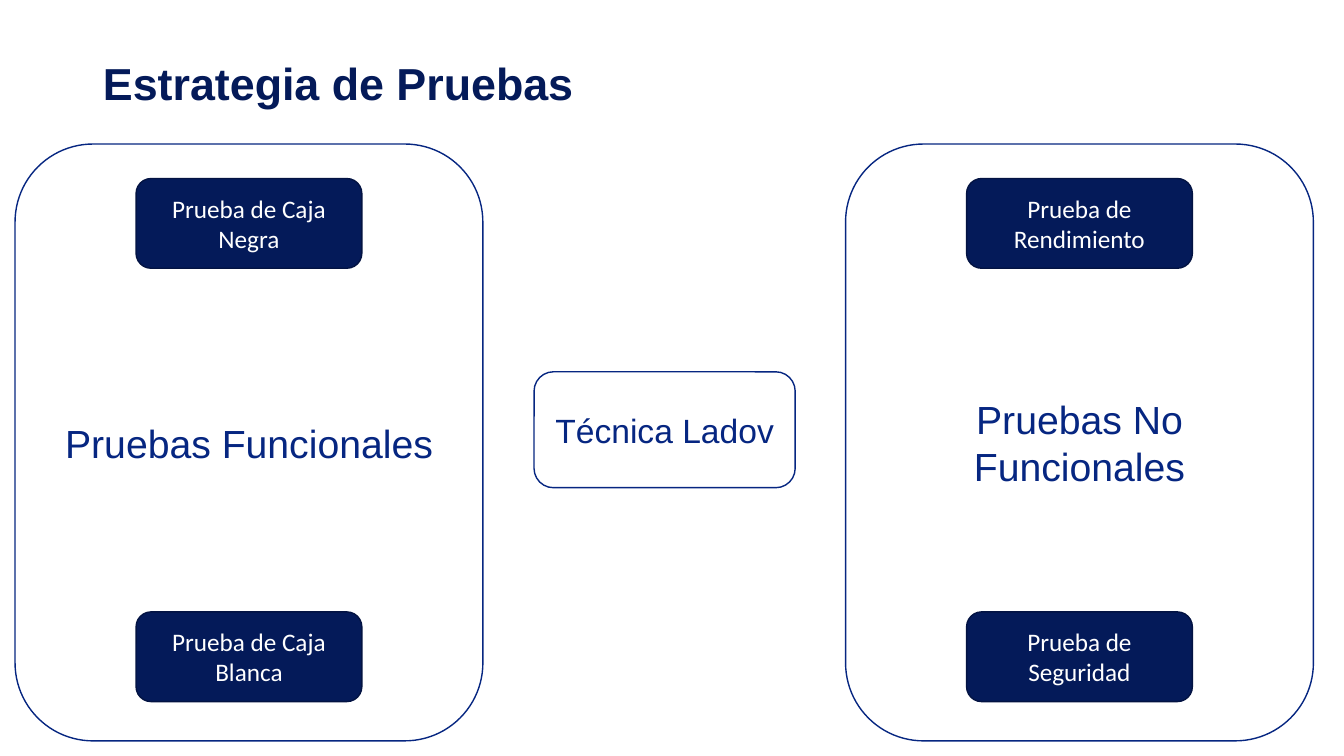
"""Build the test strategy slide with its functional and non-functional panels."""
import pptx
import pptx.dml.color
import pptx.enum.shapes
import pptx.enum.text
import pptx.util

Cm = pptx.util.Cm
Pt = pptx.util.Pt
ALIGN = pptx.enum.text.PP_ALIGN
COLORS = {"navy": "041A59", "edge": "031342", "blue": "062681", "white": "FFFFFF"}


def rgb(name):
    return pptx.dml.color.RGBColor.from_string(COLORS[name])


def write(tf, text, size, color, font="Arial", bold=False, align=ALIGN.CENTER, spacing=1.0):
    tf.word_wrap = True
    tf.auto_size = pptx.enum.text.MSO_AUTO_SIZE.NONE
    tf.vertical_anchor = pptx.enum.text.MSO_ANCHOR.MIDDLE
    p = tf.paragraphs[0]
    p.alignment = align
    p.line_spacing = spacing
    r = p.add_run()
    r.text = text
    r.font.name = font
    r.font.size = Pt(size)
    r.font.bold = bold
    r.font.color.rgb = rgb(color)


class StrategySlide:
    def __init__(self, prs):
        self.s = prs.slides.add_slide(prs.slide_layouts[5])

    def title(self, text, left, top, width, height):
        sp = self.s.shapes.title
        sp.left, sp.top, sp.width, sp.height = Cm(left), Cm(top), Cm(width), Cm(height)
        write(sp.text_frame, text, 32, "navy", bold=True, align=ALIGN.LEFT, spacing=0.9)

    def box(self, text, left, top, width, height, line="blue", fill=None, **style):
        sp = self.s.shapes.add_shape(
            pptx.enum.shapes.MSO_SHAPE.ROUNDED_RECTANGLE,
            Cm(left), Cm(top), Cm(width), Cm(height))
        sp.shadow.inherit = False
        if fill:
            sp.fill.solid()
            sp.fill.fore_color.rgb = rgb(fill)
        else:
            sp.fill.background()
        sp.line.color.rgb = rgb(line)
        sp.line.width = Pt(1)
        write(sp.text_frame, text, **style)

    def panel(self, text, left, upper, lower):
        self.box(text, left, 3.63, 11.79, 15.04, size=28, color="blue")
        for test, top in ((lower, 15.42), (upper, 4.5)):
            self.box(test, left + 3.05, top, 5.69, 2.26, line="edge", fill="navy",
                     size=18, color="white", font="Calibri")


def main():
    prs = pptx.Presentation()
    prs.slide_width, prs.slide_height = Cm(33.87), Cm(19.05)
    slide = StrategySlide(prs)
    slide.title("Estrategia de Pruebas", 2.34, 1.02, 14.4, 2.29)
    slide.box("Técnica Ladov", 13.46, 9.37, 6.58, 2.92, size=24, color="blue")
    slide.panel("Pruebas Funcionales", 0.38, "Prueba de Caja Negra", "Prueba de Caja Blanca")
    slide.panel("Pruebas No Funcionales", 21.31, "Prueba de Rendimiento", "Prueba de Seguridad")
    prs.save("out.pptx")


if __name__ == "__main__":
    main()
